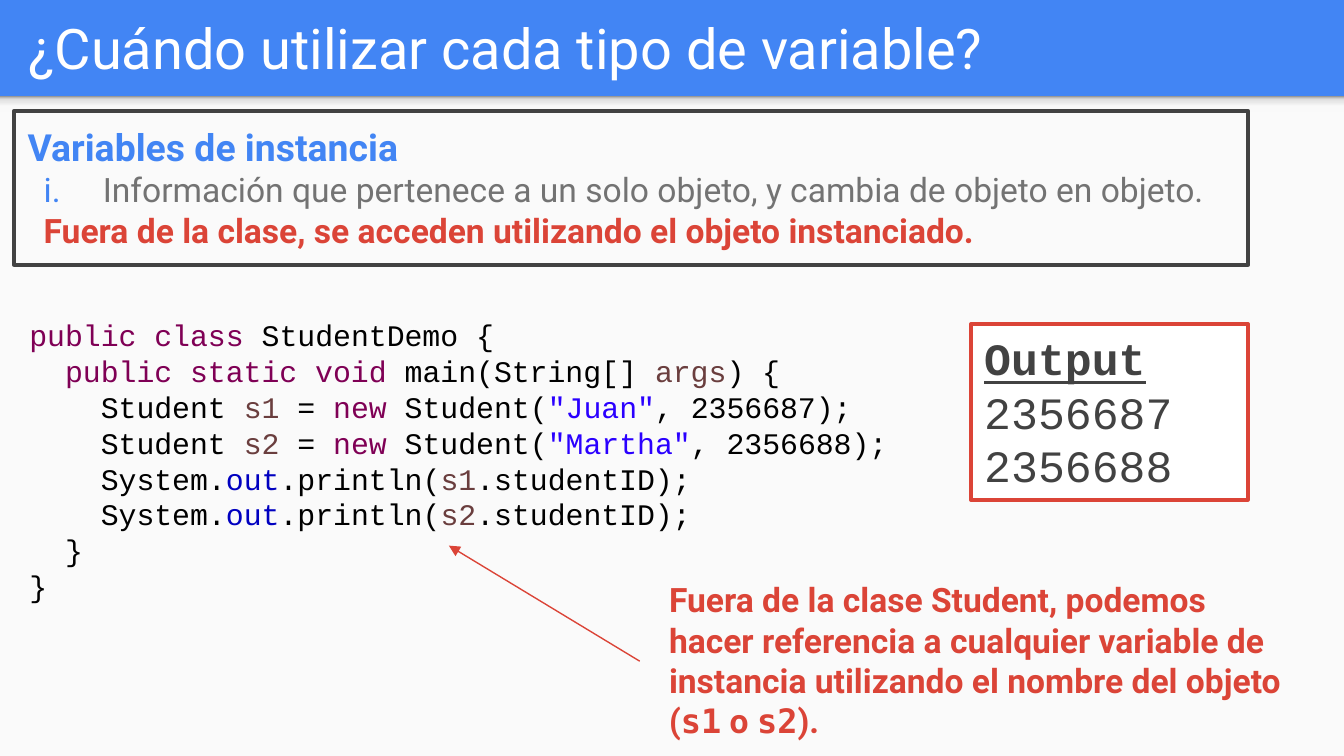
import pptx
import pptx.util
import pptx.oxml
import pptx.oxml.ns
import pptx.dml.color
import pptx.enum.text
import pptx.enum.shapes

W = 10
H = W * 9 / 16
COLS = 100
UNIT = W / COLS
ROWS = H / UNIT
HEADER = 7.15

BLUE, RED, GREY, DARK = "4285F4", "DB4437", "737373", "424242"
WHITE, PAPER, BLACK = "FFFFFF", "FAFAFA", "000000"
KEYWORD, LOCAL, STRING, FIELD = "7F0055", "6A3E3E", "2A00FF", "0000C0"
SANS, MONO, CODE = "Roboto", "DejaVu Sans Mono", "Courier New"
RECT = pptx.enum.shapes.MSO_SHAPE.RECTANGLE


def rgb(hex_color):
    return pptx.dml.color.RGBColor.from_string(hex_color)


def grid(*cells):
    return [pptx.util.Inches(c * UNIT) for c in cells]


def sub(parent, tag, **attrs):
    el = parent.makeelement(pptx.oxml.ns.qn(tag), attrs)
    parent.append(el)
    return el


def place(sp, cells):
    sp.left, sp.top, sp.width, sp.height = grid(*cells)


def outline(sp, color, width):
    sp.line.color.rgb = rgb(color)
    sp.line.width = pptx.util.Pt(width)


def frame(sp, inset_y=0.05, anchor="TOP"):
    tf = sp.text_frame
    tf.word_wrap = True
    tf.auto_size = pptx.enum.text.MSO_AUTO_SIZE.NONE
    tf.vertical_anchor = pptx.enum.text.MSO_ANCHOR[anchor]
    tf.margin_left = tf.margin_right = pptx.util.Inches(0.1)
    tf.margin_top = tf.margin_bottom = pptx.util.Inches(inset_y)
    return tf


def add_run(p, text, font=SANS, size=18, color=BLACK, bold=False, underline=False):
    r = p.add_run()
    r.text = text
    r.font.name = font
    r.font.size = pptx.util.Pt(size)
    r.font.color.rgb = rgb(color)
    r.font.bold = bold
    r.font.underline = underline


def add_paragraph(tf, first=False, left=0, hang=0, number=None):
    p = tf.paragraphs[0] if first else tf.add_paragraph()
    p.alignment = pptx.enum.text.PP_ALIGN.LEFT
    p.line_spacing = 1.0
    p.space_before = p.space_after = pptx.util.Pt(0)
    pPr = p._p.get_or_add_pPr()
    pPr.set("marL", str(pptx.util.Inches(left)))
    pPr.set("indent", str(pptx.util.Inches(-hang)))
    if number:
        sub(sub(pPr, "a:buClr"), "a:srgbClr", val=number)
        sub(pPr, "a:buAutoNum", type="romanLcPeriod")
    else:
        sub(pPr, "a:buNone")
    return p


def add_rect(s, cells, fill):
    sp = s.shapes.add_shape(RECT, *grid(*cells))
    sp.shadow.inherit = False
    sp.fill.solid()
    sp.fill.fore_color.rgb = rgb(fill)
    sp.line.fill.background()
    return sp


def add_text(s, cells):
    return frame(s.shapes.add_textbox(*grid(*cells)))


def add_arrow(s, start, end, color):
    cx = s.shapes.add_connector(pptx.enum.shapes.MSO_CONNECTOR.STRAIGHT,
                                *grid(*start, *end))
    outline(cx, color, 0.75)
    sub(cx.line._get_or_add_ln(), "a:tailEnd", type="triangle")
    sub(cx._element.spPr, "a:effectLst")


def add_background(s):
    s.background.fill.solid()
    s.background.fill.fore_color.rgb = rgb(BLUE)
    add_rect(s, (0, HEADER, COLS, ROWS - HEADER), PAPER)
    shade = add_rect(s, (0, HEADER, COLS, 1.2), PAPER)
    shade.fill.gradient()
    shade.fill.gradient_angle = 90
    stops = shade._element.spPr.find(".//" + pptx.oxml.ns.qn("a:gsLst"))
    for gs in list(stops):
        stops.remove(gs)
    for pos, color in ((0, "F9F9F9"), (36, "F9F9F9"), (80, "DEDEDE"), (100, "999999")):
        sub(sub(stops, "a:gs", pos=str(pos * 1000)), "a:srgbClr", val=color)
    for placeholder in list(s.placeholders):
        s.shapes._spTree.append(placeholder._element)


def add_title(s, text):
    sp = s.shapes.title
    place(sp, (1.1, 0.2, 96.5, 6.6))
    tf = frame(sp, 0.1, "MIDDLE")
    add_run(add_paragraph(tf, first=True), text, size=30, color=WHITE)


def add_definition(s):
    sp = s.placeholders[1]
    place(sp, (1.05, 8.25, 91.8, 11.45))
    outline(sp, DARK, 2.25)
    tf = frame(sp, 0.1)
    add_run(add_paragraph(tf, first=True),
            "Variables de instancia", size=20, color=BLUE, bold=True)
    add_run(add_paragraph(tf, left=0.56, hang=0.44, number=BLUE),
            "Información que pertenece a un solo objeto, y cambia de objeto en objeto.",
            color=GREY)
    add_run(add_paragraph(tf, left=0.12),
            "Fuera de la clase, se acceden utilizando el objeto instanciado.",
            color=RED, bold=True)


def create_line(var, name, number):
    return [("    Student ", BLACK), (var, LOCAL), (" = ", BLACK), ("new", KEYWORD),
            (" Student(", BLACK), (f'"{name}"', STRING), (f", {number});", BLACK)]


def print_line(var):
    return [("    System.", BLACK), ("out", FIELD), (".println(", BLACK),
            (var, LOCAL), (".studentID);", BLACK)]


def add_code(s, students):
    lines = [
        [("public class ", KEYWORD), ("StudentDemo {", BLACK)],
        [("  public static void", KEYWORD), (" main(String[] ", BLACK),
         ("args", LOCAL), (") {", BLACK)],
        *[create_line(*student) for student in students],
        *[print_line(var) for var, _, _ in students],
        [("  }", BLACK)],
        [("}", BLACK)],
    ]
    tf = add_text(s, (1.2, 23.1, 97.6, 22.6))
    for i, line in enumerate(lines):
        p = add_paragraph(tf, first=i == 0)
        for text, color in line:
            add_run(p, text, font=CODE, size=16, color=color)


def add_output(s, students):
    sp = add_rect(s, (72.25, 24.1, 20.6, 13.1), WHITE)
    outline(sp, RED, 2)
    tf = frame(sp)
    for i, text in enumerate(["Output"] + [number for _, _, number in students]):
        add_run(add_paragraph(tf, first=i == 0), text, font=CODE,
                size=24, color=DARK, bold=i == 0, underline=i == 0)


def add_callout(s):
    tf = add_text(s, (47.6, 42.6, 50, 13.1))
    p = add_paragraph(tf, first=True, left=0.12)
    for text, font in (
        ("Fuera de la clase Student, podemos hacer referencia a cualquier variable "
         "de instancia utilizando el nombre del objeto (", SANS),
        ("s1", MONO), (" o ", SANS), ("s2", MONO), (").", SANS),
    ):
        add_run(p, text, font=font, color=RED, bold=True)


def main():
    prs = pptx.Presentation()
    prs.slide_width, prs.slide_height = pptx.util.Inches(W), pptx.util.Inches(H)
    s = prs.slides.add_slide(prs.slide_layouts[1])
    students = [("s1", "Juan", "2356687"), ("s2", "Martha", "2356688")]
    add_background(s)
    add_title(s, "¿Cuándo utilizar cada tipo de variable?")
    add_definition(s)
    add_code(s, students)
    add_output(s, students)
    add_callout(s)
    add_arrow(s, (47.6, 49.2), (33.4, 40.6), RED)
    prs.save("out.pptx")


if __name__ == "__main__":
    main()
